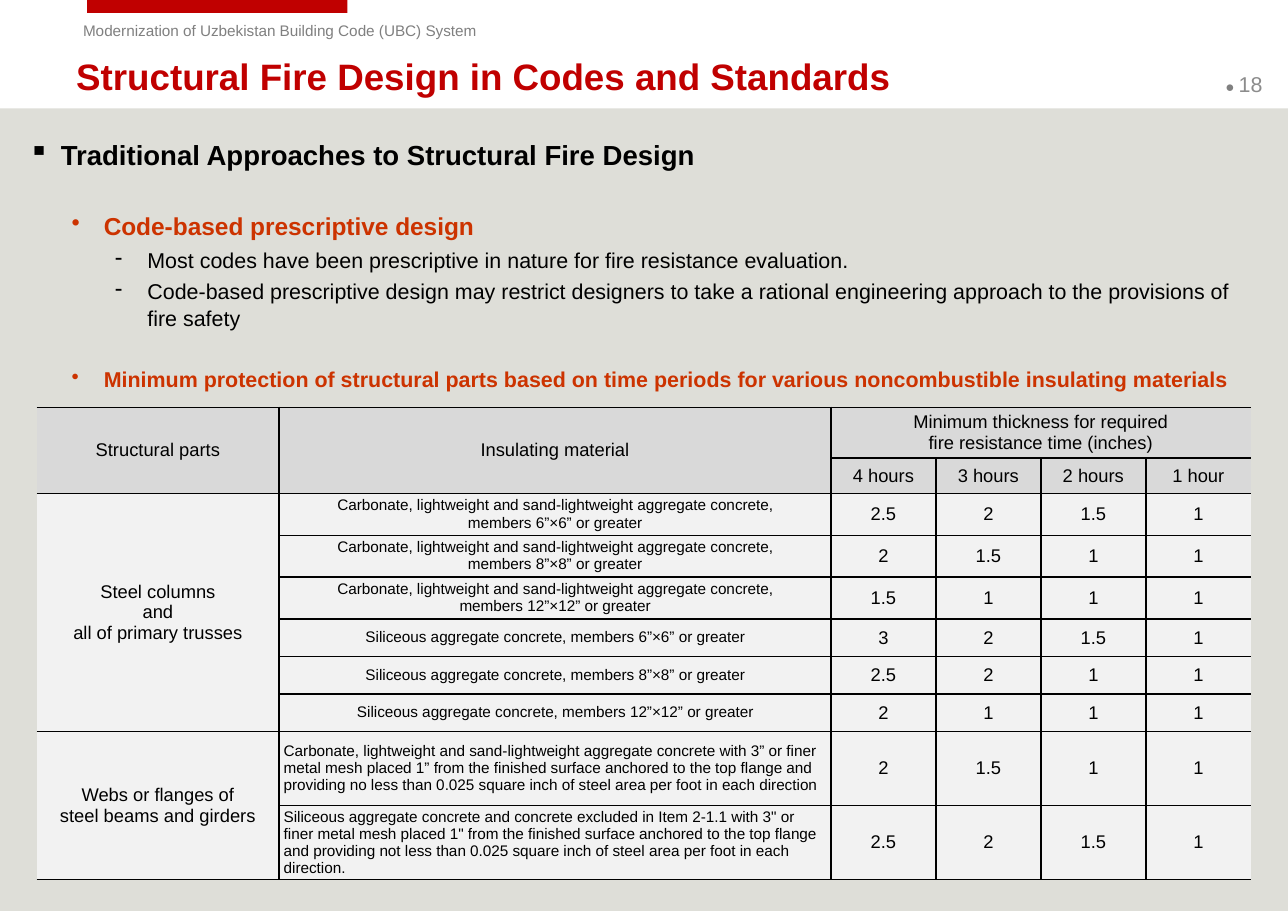
"""Build the slide on structural fire design in codes and standards."""
from lxml import etree
from pptx import Presentation
from pptx.dml.color import RGBColor
from pptx.enum.shapes import MSO_SHAPE
from pptx.enum.text import MSO_ANCHOR, MSO_AUTO_SIZE, PP_ALIGN
from pptx.oxml.ns import qn
from pptx.util import Pt

RECTANGLE = MSO_SHAPE.RECTANGLE
TOP, MIDDLE = MSO_ANCHOR.TOP, MSO_ANCHOR.MIDDLE
NO_AUTOFIT = MSO_AUTO_SIZE.NONE
LEFT, CENTER = PP_ALIGN.LEFT, PP_ALIGN.CENTER

RED = RGBColor(0xC0, 0x00, 0x00)
ORANGE = RGBColor(0xCC, 0x33, 0x00)
BLACK = RGBColor(0x00, 0x00, 0x00)
GRAY = RGBColor(0x80, 0x80, 0x80)
NUMBER_GRAY = RGBColor(0x8C, 0x8C, 0x8C)
BACKDROP = RGBColor(0xDE, 0xDE, 0xD8)
HEAD_FILL = RGBColor(0xD9, 0xD9, 0xD9)
BODY_FILL = RGBColor(0xF2, 0xF2, 0xF2)

SLIDE_W, SLIDE_H = 841.7, 595.4
FONT = "Arial"
PROJECT = "Modernization of Uzbekistan Building Code (UBC) System"
TITLE = "Structural Fire Design in Codes and Standards"
PAGE = "18"

HANGING = 21
OUTLINE = [
    ("▪", 21, 0, "Traditional Approaches to Structural Fire Design",
     {"size": Pt(18), "color": BLACK, "bold": True}),
    ("•", 49, 25.5, "Code-based prescriptive design",
     {"size": Pt(16), "color": ORANGE, "bold": True}),
    ("-", 77.5, 3.5, "Most codes have been prescriptive in nature for fire resistance evaluation.",
     {"size": Pt(14), "color": BLACK}),
    ("-", 77.5, 2.8, "Code-based prescriptive design may restrict designers to take a rational "
     "engineering approach to the provisions of fire safety",
     {"size": Pt(14), "color": BLACK}),
    ("•", 49, 22, "Minimum protection of structural parts based on time periods for various "
     "noncombustible insulating materials",
     {"size": Pt(14), "color": ORANGE, "bold": True}),
]

MIXED = "Carbonate, lightweight and sand-lightweight aggregate concrete,\nmembers {} or greater"
SILICEOUS = "Siliceous aggregate concrete, members {} or greater"
MEMBERS = ["6”×6”", "8”×8”", "12”×12”"]
MESH_MIXED = ("Carbonate, lightweight and sand-lightweight aggregate concrete with 3” or finer metal "
              "mesh placed 1” from the finished surface anchored to the top flange and providing no "
              "less than 0.025 square inch of steel area per foot in each direction")
MESH_SILICEOUS = ("Siliceous aggregate concrete and concrete excluded in Item 2-1.1 with 3\" or finer "
                  "metal mesh placed 1\" from the finished surface anchored to the top flange and "
                  "providing not less than 0.025 square inch of steel area per foot in each direction.")
COLUMNS = "Steel columns\nand\nall of primary trusses"
BEAMS = "Webs or flanges of\nsteel beams and girders"
THICKNESS = "Minimum thickness for required\nfire resistance time (inches)"
MATERIALS = [kind.format(size) for kind in (MIXED, SILICEOUS) for size in MEMBERS]
MATERIALS += [MESH_MIXED, MESH_SILICEOUS]
INCHES = [
    ("2.5", "2", "1.5", "1"),
    ("2", "1.5", "1", "1"),
    ("1.5", "1", "1", "1"),
    ("3", "2", "1.5", "1"),
    ("2.5", "2", "1", "1"),
    ("2", "1", "1", "1"),
    ("2", "1.5", "1", "1"),
    ("2.5", "2", "1.5", "1"),
]
PARTS = [COLUMNS] + [""] * 5 + [BEAMS, ""]
HEAD_ROWS = [
    ("Structural parts", "Insulating material", THICKNESS, "", "", ""),
    ("", "", "4 hours", "3 hours", "2 hours", "1 hour"),
]
ROWS = HEAD_ROWS + [(part, material, *inches)
                    for part, material, inches in zip(PARTS, MATERIALS, INCHES)]
MERGES = [(0, 0, 1, 0), (0, 1, 1, 1), (0, 2, 0, 5), (2, 0, 7, 0), (8, 0, 9, 0)]
COLUMN_WIDTHS = [158.4, 360.6] + [68.6] * 4
ROW_HEIGHTS = [33.2, 23] + [27.4] * 3 + [24.5] * 3 + [48.4] * 2


def style(font, **values):
    font.name = FONT
    font.color.rgb = values.pop("color")
    for name, value in values.items():
        setattr(font, name, value)


def add_run(paragraph, text, **values):
    run = paragraph.add_run()
    run.text = text
    style(run.font, **values)


def set_frame(frame, anchor=TOP, side=8, edge=4):
    settings = {"word_wrap": True, "auto_size": NO_AUTOFIT, "vertical_anchor": anchor,
                "margin_left": Pt(side), "margin_right": Pt(side),
                "margin_top": Pt(edge), "margin_bottom": Pt(edge)}
    for name, value in settings.items():
        setattr(frame, name, value)


def add_text_box(slide, box, **frame_values):
    frame = slide.shapes.add_textbox(*map(Pt, box)).text_frame
    set_frame(frame, **frame_values)
    return frame


def add_block(slide, box, color):
    block = slide.shapes.add_shape(RECTANGLE, *map(Pt, box))
    block.shadow.inherit = False
    block.fill.solid()
    block.fill.fore_color.rgb = color
    block.line.fill.background()


def add_outline(slide):
    frame = add_text_box(slide, (10.8, 85, 819.4, 198.7))
    for index, (bullet, indent, gap, text, values) in enumerate(OUTLINE):
        paragraph = frame.add_paragraph() if index else frame.paragraphs[0]
        properties = paragraph._p.get_or_add_pPr()
        properties.set("marL", str(Pt(indent)))
        properties.set("indent", str(-Pt(HANGING)))
        etree.SubElement(properties, qn("a:buChar"), char=bullet)
        paragraph.line_spacing = 1.05
        if gap:
            paragraph.space_before = Pt(gap)
        add_run(paragraph, text, **values)


def set_borders(cell, row, column):
    properties = cell._tc.get_or_add_tcPr()
    last = len(COLUMN_WIDTHS) - 1
    outer = {"a:lnL": column == 0, "a:lnR": column == last or (row == 0 and column == 2)}
    for side in ("a:lnL", "a:lnR", "a:lnT", "a:lnB"):
        line = etree.SubElement(properties, qn(side), w=str(Pt(1)))
        if outer.get(side):
            etree.SubElement(line, qn("a:noFill"))
        else:
            fill = etree.SubElement(line, qn("a:solidFill"))
            etree.SubElement(fill, qn("a:srgbClr"), val=str(BLACK))


def add_protection_table(slide):
    box = (24, 266.2, sum(COLUMN_WIDTHS), sum(ROW_HEIGHTS))
    table = slide.shapes.add_table(len(ROWS), len(COLUMN_WIDTHS), *map(Pt, box)).table
    table.first_row = table.horz_banding = False
    for column, width in zip(table.columns, COLUMN_WIDTHS):
        column.width = Pt(width)
    for row, height in zip(table.rows, ROW_HEIGHTS):
        row.height = Pt(height)
    for top, left, bottom, right in MERGES:
        table.cell(top, left).merge(table.cell(bottom, right))
    for r, texts in enumerate(ROWS):
        is_head = r < len(HEAD_ROWS)
        for c, text in enumerate(texts):
            cell = table.cell(r, c)
            set_borders(cell, r, c)
            cell.fill.solid()
            cell.fill.fore_color.rgb = HEAD_FILL if is_head else BODY_FILL
            cell.vertical_anchor = MIDDLE
            cell.margin_left = cell.margin_right = Pt(3)
            cell.margin_top = cell.margin_bottom = Pt(0)
            if not text:
                continue
            cell.text = text
            size = 10 if c == 1 and not is_head else 12
            for paragraph in cell.text_frame.paragraphs:
                paragraph.alignment = LEFT if text in (MESH_MIXED, MESH_SILICEOUS) else CENTER
                for run in paragraph.runs:
                    style(run.font, size=Pt(size), color=BLACK)


def main():
    deck = Presentation()
    deck.slide_width, deck.slide_height = Pt(SLIDE_W), Pt(SLIDE_H)
    slide = deck.slides.add_slide(deck.slide_layouts[5])

    add_block(slide, (0, 70.8, SLIDE_W, SLIDE_H - 70.8), BACKDROP)
    add_block(slide, (57, 0, 170, 8.5), RED)

    project = add_text_box(slide, (47.2, 10, 337, 19.4), side=7.2, edge=3.6)
    add_run(project.paragraphs[0], PROJECT, size=Pt(10), color=GRAY)

    page = add_text_box(slide, (792.7, 39, 49, 31.7), anchor=MIDDLE)
    add_run(page.paragraphs[0], "● ", size=Pt(10), color=GRAY)
    add_run(page.paragraphs[0], PAGE, size=Pt(14), color=NUMBER_GRAY)

    title = slide.shapes.title
    title.left, title.top, title.width, title.height = map(Pt, (41.8, 35, 792, 28.8))
    set_frame(title.text_frame, anchor=MIDDLE)
    heading = title.text_frame.paragraphs[0]
    heading.alignment = LEFT
    add_run(heading, TITLE, size=Pt(24), color=RED, bold=True)

    add_outline(slide)
    add_protection_table(slide)
    deck.save("out.pptx")


if __name__ == "__main__":
    main()
